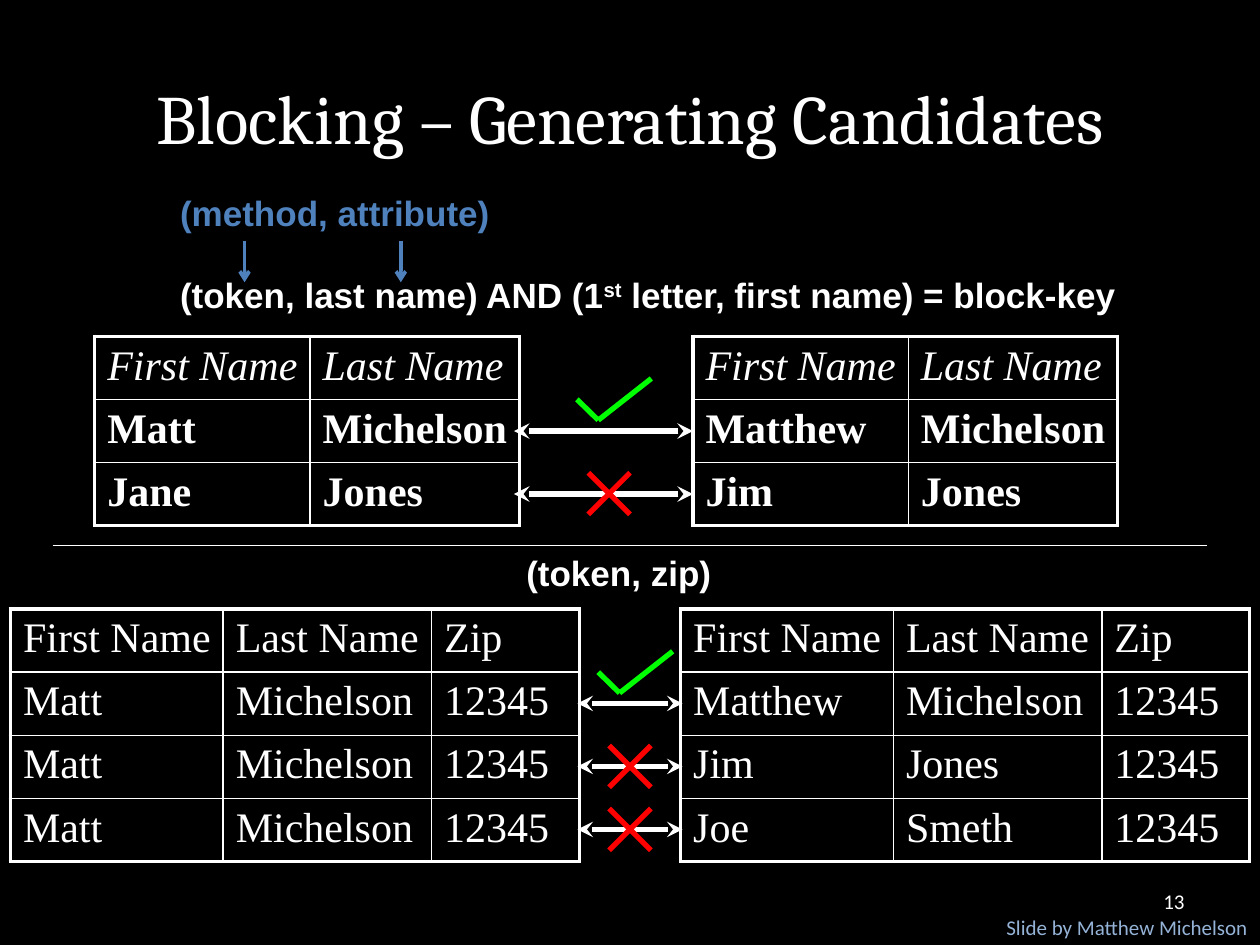
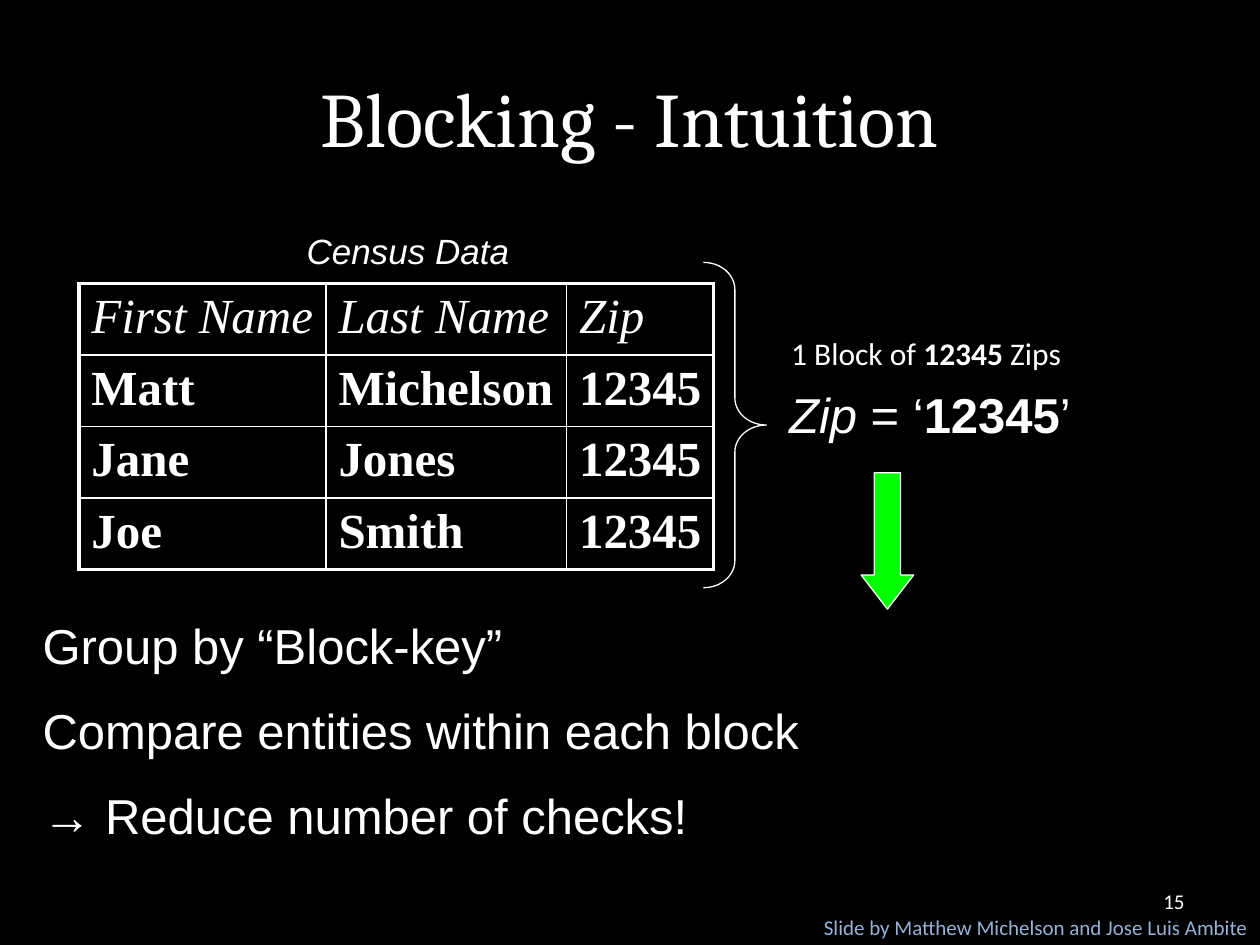
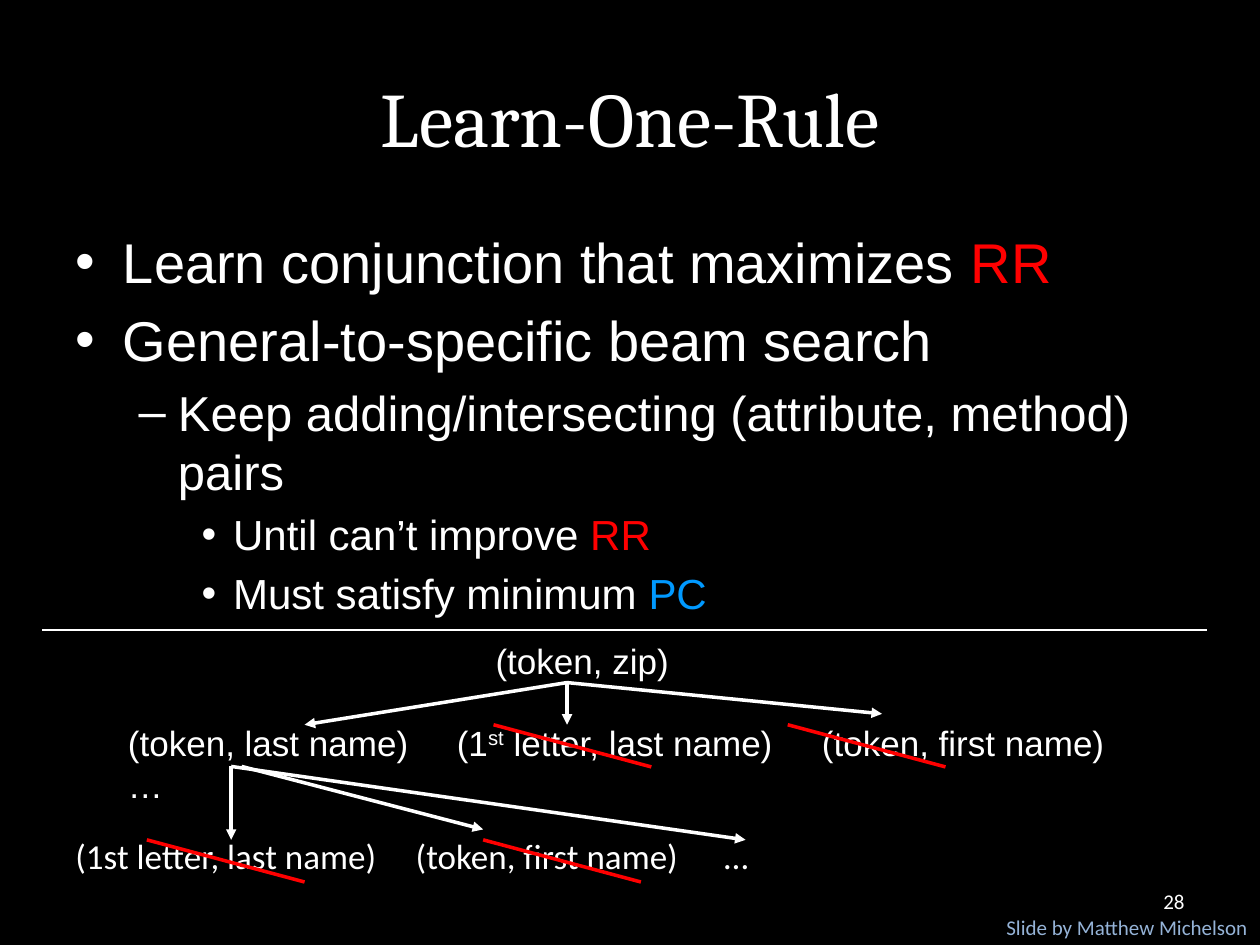
from lxml import etree
from pptx import Presentation
from pptx.dml.color import RGBColor
from pptx.enum.shapes import MSO_CONNECTOR, MSO_SHAPE
from pptx.enum.text import MSO_ANCHOR, MSO_AUTO_SIZE, PP_ALIGN
from pptx.oxml.ns import qn
from pptx.util import Cm, Pt

STRAIGHT = MSO_CONNECTOR.STRAIGHT
RIGHT_BRACE, DOWN_ARROW = MSO_SHAPE.RIGHT_BRACE, MSO_SHAPE.DOWN_ARROW
TOP, MIDDLE = MSO_ANCHOR.TOP, MSO_ANCHOR.MIDDLE
LEFT, RIGHT = PP_ALIGN.LEFT, PP_ALIGN.RIGHT
NO_AUTOFIT = MSO_AUTO_SIZE.NONE

COLORS = {
    "background": "000000",
    "text": "FFFFFF",
    "credit": "95B3D7",
    "hint": "4F81BD",
    "yes": "00FF00",
    "no": "FF0000",
    "completeness": "0099FF",
}
TITLE_FONT, TEXT_FONT = "Cambria", "Arial"
SMALL_FONT, TABLE_FONT = "Calibri", "Times New Roman"
CONTENT_LAYOUT, TITLE_ONLY_LAYOUT = 1, 5
SLIDE_WIDTH, SLIDE_HEIGHT = 25.4, 19.05
ROW_HEIGHT = 1.27
BOLD = {"bold": True}
SUPERSCRIPT = {"superscript": True}


def rgb(name):
    return RGBColor.from_string(COLORS[name])


# Text

def style_font(font, size, name, color="text", bold=False, italic=False):
    font.size = Pt(size)
    font.name = name
    font.color.rgb = rgb(color)
    font.bold = bold
    font.italic = italic


def add_runs(paragraph, runs):
    """Each run is a string or a (string, changes) pair."""
    for item in runs:
        text, changes = (item, {}) if isinstance(item, str) else item
        run = paragraph.add_run()
        run.text = text
        if "color" in changes:
            run.font.color.rgb = rgb(changes["color"])
        if "bold" in changes:
            run.font.bold = changes["bold"]
        if "italic" in changes:
            run.font.italic = changes["italic"]
        if "superscript" in changes:
            run._r.get_or_add_rPr().set("baseline", "30000")


def set_tab_stops(paragraph, positions):
    properties = paragraph._p.get_or_add_pPr()
    tab_list = etree.Element(qn("a:tabLst"))
    for position in positions:
        etree.SubElement(tab_list, qn("a:tab"), pos=str(Cm(position)), algn="l")
    properties.insert(0, tab_list)


def add_text(slide, box, paragraphs, size, font=TEXT_FONT, color="text", bold=False,
             italic=False, align=LEFT, anchor=TOP, space_before=0, tabs=()):
    shape = slide.shapes.add_textbox(*map(Cm, box))
    frame = shape.text_frame
    frame.word_wrap = True
    frame.vertical_anchor = anchor
    for index, runs in enumerate(paragraphs):
        paragraph = frame.add_paragraph() if index else frame.paragraphs[0]
        paragraph.alignment = align
        if space_before:
            paragraph.space_before = Pt(space_before)
        style_font(paragraph.font, size, font, color, bold, italic)
        if tabs:
            set_tab_stops(paragraph, tabs)
        add_runs(paragraph, runs)


# Slide frame: title, number, credit

def add_slide(presentation, layout, title, number, credit, title_size=44, credit_width=9.32):
    slide = presentation.slides.add_slide(presentation.slide_layouts[layout])
    placeholder = slide.shapes.title
    placeholder.left, placeholder.top = Cm(1.27), Cm(0.76)
    placeholder.width, placeholder.height = Cm(22.86), Cm(3.18)
    frame = placeholder.text_frame
    frame.text = title
    frame.auto_size = NO_AUTOFIT
    frame.vertical_anchor = MIDDLE
    style_font(frame.paragraphs[0].font, title_size, TITLE_FONT)

    add_text(slide, (18.21, 17.65, 5.92, 1.02), [[number]], 12, SMALL_FONT,
             align=RIGHT, anchor=MIDDLE)
    add_text(slide, (SLIDE_WIDTH - credit_width, 18.31, credit_width, 0.76), [[credit]], 12,
             SMALL_FONT, "credit", align=RIGHT)
    return slide


# Lines and marks

def add_line(slide, start, end, color="text", width=3.0, head=None, tail=None):
    connector = slide.shapes.add_connector(STRAIGHT, *map(Cm, start + end))
    connector.line.color.rgb = rgb(color)
    connector.line.width = Pt(width)
    line = connector.line._get_or_add_ln()
    for tag, kind in (("a:headEnd", head), ("a:tailEnd", tail)):
        if kind:
            etree.SubElement(line, qn(tag), type=kind)
    etree.SubElement(connector._element.spPr, qn("a:effectLst"))


def add_match_arrow(slide, left, right, y):
    add_line(slide, (right, y), (left, y), head="stealth", tail="stealth")


def add_check(slide, x, y):
    corner = (x + 0.43, y + 0.42)
    add_line(slide, (x, y), corner, "yes")
    add_line(slide, corner, (x + 1.5, y - 0.42), "yes")


def add_cross(slide, x, y, half=0.42):
    for rise in (half, -half):
        add_line(slide, (x - half, y - rise), (x + half, y + rise), "no")


def add_preset(slide, kind, box, adjustments, fill=None):
    shape = slide.shapes.add_shape(kind, *map(Cm, box))
    shape.shadow.inherit = False
    for index, value in enumerate(adjustments):
        shape.adjustments[index] = value
    if fill:
        shape.fill.solid()
        shape.fill.fore_color.rgb = rgb(fill)
    else:
        shape.fill.background()
    shape.line.color.rgb = rgb("text")
    shape.line.width = Pt(0.75)


# Tables

def set_borders(cell, outer_sides):
    properties = cell._tc.get_or_add_tcPr()
    for side in "LRTB":
        width = Pt(2.25 if side in outer_sides else 1)
        line = etree.SubElement(properties, qn("a:ln" + side), w=str(width))
        fill = etree.SubElement(line, qn("a:solidFill"))
        etree.SubElement(fill, qn("a:srgbClr"), val=COLORS["text"])


def add_record_table(slide, left, top, column_widths, rows, size=24,
                     row_height=ROW_HEIGHT, emphasis=True):
    """Records in a boxed grid; emphasis means italic heads and bold values."""
    last_row, last_column = len(rows) - 1, len(column_widths) - 1
    frame = slide.shapes.add_table(len(rows), len(column_widths), Cm(left), Cm(top),
                                   Cm(sum(column_widths)), Cm(row_height * len(rows)))
    table = frame.table
    table.first_row = table.horz_banding = False
    for column, width in zip(table.columns, column_widths):
        column.width = Cm(width)
    for row_index, values in enumerate(rows):
        table.rows[row_index].height = Cm(row_height)
        for column_index, value in enumerate(values):
            cell = table.cell(row_index, column_index)
            cell.margin_right = 0
            cell.text = value
            style_font(cell.text_frame.paragraphs[0].font, size, TABLE_FONT,
                       bold=emphasis and row_index > 0,
                       italic=emphasis and row_index == 0)
            edges = {"L": column_index == 0, "R": column_index == last_column,
                     "T": row_index == 0, "B": row_index == last_row}
            set_borders(cell, [side for side, outer in edges.items() if outer])
            cell.fill.background()


# Slides

def build_candidates(presentation):
    slide = add_slide(presentation, TITLE_ONLY_LAYOUT, "Blocking – Generating Candidates",
                      "13", "Slide by Matthew Michelson", title_size=39.6)

    # Block-key rule and its reading
    add_text(slide, (3.38, 3.73, 6.9, 1.12), [["(method, attribute)"]], 20,
             color="hint", bold=True)
    for x in (4.93, 8.08):
        add_line(slide, (x, 4.85), (x, 5.69), "hint", 2, tail="arrow")
    rule = ["(token, last name) AND (1", ("st", SUPERSCRIPT),
            " letter, first name) = block-key"]
    add_text(slide, (3.38, 5.38, 19.84, 1.15), [rule], 20, bold=True)

    # Matching by name
    name_head = ("First Name", "Last Name")
    name_tables = (
        (1.91, [name_head, ("Matt", "Michelson"), ("Jane", "Jones")]),
        (13.97, [name_head, ("Matthew", "Michelson"), ("Jim", "Jones")]),
    )
    for left, rows in name_tables:
        add_record_table(slide, left, 6.78, (4.34, 4.22), rows)
    for index in range(2):
        add_match_arrow(slide, 10.36, 13.97, 8.69 + index * ROW_HEIGHT)
    add_check(slide, 11.63, 8.05)
    add_cross(slide, 12.28, 9.95)

    # Matching by zip
    add_line(slide, (1.06, 11), (24.34, 11), width=0.75)
    add_text(slide, (10.36, 11, 5.56, 1.09), [["(token, zip)"]], 20, bold=True)
    zip_head = ("First Name", "Last Name", "Zip")
    matt = ("Matt", "Michelson", "12345")
    zip_tables = (
        (0.21, [zip_head, matt, matt, matt]),
        (13.72, [zip_head, ("Matthew", "Michelson", "12345"),
                 ("Jim", "Jones", "12345"), ("Joe", "Smeth", "12345")]),
    )
    for left, rows in zip_tables:
        add_record_table(slide, left, 12.28, (4.29, 4.2, 2.98), rows, emphasis=False)
    for index in range(3):
        y = 14.18 + index * ROW_HEIGHT
        add_match_arrow(slide, 11.64, 13.76, y)
        if index == 0:
            add_check(slide, 12.06, y - 0.63)
        else:
            add_cross(slide, 12.7, y)


def build_intuition(presentation):
    slide = add_slide(presentation, TITLE_ONLY_LAYOUT, "Blocking - Intuition", "15",
                      "Slide by Matthew Michelson and Jose Luis Ambite", credit_width=10.67)

    # Census table
    add_text(slide, (5.93, 4.5, 4.65, 1.09), [["Census Data"]], 20, italic=True)
    add_preset(slide, RIGHT_BRACE, (14.18, 5.29, 1.27, 6.56), (0.43, 0.5))
    rows = [("First Name", "Last Name", "Zip"), ("Matt", "Michelson", "12345"),
            ("Jane", "Jones", "12345"), ("Joe", "Smith", "12345")]
    add_record_table(slide, 1.59, 5.72, (4.98, 4.85, 2.97), rows, size=28, row_height=1.44)

    # The block it forms
    add_text(slide, (15.7, 6.6, 6.02, 1.02), [["1 Block of ", ("12345", BOLD), " Zips"]],
             18, SMALL_FONT)
    block_key = [("Zip", {"italic": True}), " = ‘", ("12345", BOLD), "’"]
    add_text(slide, (15.66, 7.62, 7.82, 1.45), [block_key], 28)
    add_preset(slide, DOWN_ARROW, (17.36, 9.53, 1.06, 2.75), (0.5, 0.65), "yes")

    # Conclusions
    conclusions = [["Group by “Block-key”"], ["Compare entities within each block"],
                   ["→ Reduce number of checks!"]]
    add_text(slide, (0.61, 12.28, 24.79, 5.05), conclusions, 28, space_before=15)


def build_learn_one_rule(presentation):
    slide = add_slide(presentation, CONTENT_LAYOUT, "Learn-One-Rule", "28",
                      "Slide by Matthew Michelson")

    # Bullets
    reduction = ("RR", {"color": "no"})
    bullets = (
        (0, 32, ["Learn conjunction that maximizes ", reduction]),
        (0, 32, ["General-to-specific beam search"]),
        (1, 28, ["Keep adding/intersecting (attribute, method) pairs"]),
        (2, 24, ["Until can’t improve ", reduction]),
        (2, 24, ["Must satisfy minimum ", ("PC", {"color": "completeness"})]),
    )
    body = slide.placeholders[1]
    body.left, body.top, body.width, body.height = map(Cm, (1.27, 4.45, 23.7, 12.57))
    frame = body.text_frame
    frame.auto_size = NO_AUTOFIT
    for index, (level, size, runs) in enumerate(bullets):
        paragraph = frame.add_paragraph() if index else frame.paragraphs[0]
        paragraph.level = level
        style_font(paragraph.font, size, TEXT_FONT)
        add_runs(paragraph, runs)

    # Search tree labels
    add_line(slide, (0.85, 12.7), (24.34, 12.7), width=0.75)
    add_text(slide, (9.74, 12.76, 4.45, 1.09), [["(token, zip)"]], 20)
    second_level = ["(token, last name)\t(1", ("st", SUPERSCRIPT),
                    " letter, last name)\t(token, first name)"]
    add_text(slide, (2.33, 14.42, 21.38, 1.09), [second_level, ["…"]], 20,
             tabs=(6.63, 13.99))
    add_text(slide, (1.27, 16.69, 14.3, 1.09),
             [["(1st letter, last name)\t(token, first name)\t…"]], 20, SMALL_FONT,
             tabs=(6.86, 13.08))

    # Branches
    root, chosen = (11.43, 13.76), (4.66, 15.45)
    branches = (
        (root, (6.14, 14.61)), (root, (11.43, 14.61)), (root, (17.78, 14.39)),
        (chosen, (4.66, 16.93)), ((4.87, 15.45), (9.74, 16.72)), (chosen, (15.03, 16.93)),
    )
    for start, end in branches:
        add_line(slide, start, end, width=2, tail="triangle")

    # Rejected candidates
    for x, y in ((15.88, 14.61), (9.95, 14.61), (9.74, 16.93), (2.96, 16.93)):
        add_line(slide, (x, y), (x + 3.18, y + 0.85), "no", 2)


def main():
    presentation = Presentation()
    presentation.slide_width = Cm(SLIDE_WIDTH)
    presentation.slide_height = Cm(SLIDE_HEIGHT)
    background = presentation.slide_master.background.fill
    background.solid()
    background.fore_color.rgb = rgb("background")
    build_candidates(presentation)
    build_intuition(presentation)
    build_learn_one_rule(presentation)
    presentation.save("out.pptx")


if __name__ == "__main__":
    main()
